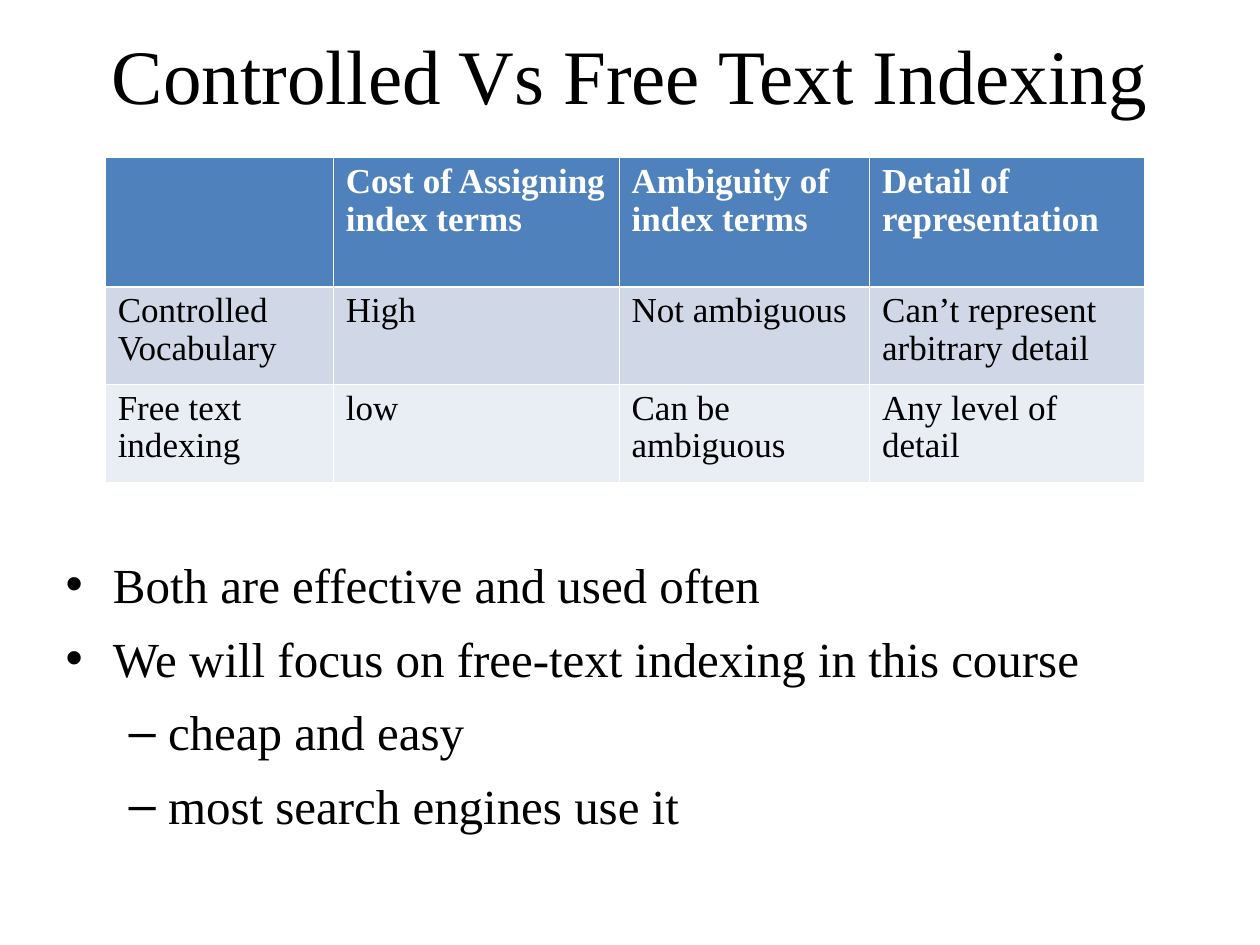
from pptx import Presentation
from pptx.util import Cm, Pt
from pptx.dml.color import RGBColor
from pptx.enum.text import MSO_ANCHOR, MSO_AUTO_SIZE, PP_ALIGN
from lxml.etree import SubElement
from pptx.oxml.ns import qn

FONT = "Times New Roman"
BLACK = RGBColor(0x00, 0x00, 0x00)
WHITE = RGBColor(0xFF, 0xFF, 0xFF)
HEADER_BLUE = RGBColor(0x4F, 0x81, 0xBD)
BAND_DARK = RGBColor(0xD0, 0xD8, 0xE8)
BAND_LIGHT = RGBColor(0xE9, 0xED, 0xF4)


def set_font(paragraph, size, color, bold=False):
    font = paragraph.font
    font.name, font.size, font.bold = FONT, Pt(size), bold
    font.color.rgb = color


def add_border(cell, side, width):
    line = SubElement(cell._tc.get_or_add_tcPr(), qn(f"a:{side}"), w=str(Pt(width)))
    fill = SubElement(line, qn("a:solidFill"))
    SubElement(fill, qn("a:srgbClr"), val=str(WHITE))


deck = Presentation()
deck.slide_width, deck.slide_height = Cm(25.4), Cm(19.05)
page = deck.slides.add_slide(deck.slide_layouts[1])

# Title
title = page.shapes.title
title.left, title.top, title.width, title.height = Cm(1.27), Cm(0), Cm(22.86), Cm(2.97)
title.text_frame.text = "Controlled Vs Free Text Indexing"
title.text_frame.auto_size = MSO_AUTO_SIZE.NONE
title.text_frame.vertical_anchor = MSO_ANCHOR.MIDDLE
heading = title.text_frame.paragraphs[0]
heading.alignment = PP_ALIGN.CENTER
set_font(heading, 44, BLACK)

# Bullet list below the table
body = page.placeholders[1]
body.left, body.top, body.width, body.height = Cm(1.07), Cm(11.05), Cm(22.86), Cm(7.37)
frame = body.text_frame
frame.auto_size = MSO_AUTO_SIZE.NONE
points = [
    ("Both are effective and used often", 0),
    ("We will focus on free-text indexing in this course", 0),
    ("cheap and easy", 1),
    ("most search engines use it", 1),
]
frame.text = "\n".join(text for text, level in points)
for paragraph, (text, level) in zip(frame.paragraphs, points):
    paragraph.level = level
    paragraph.space_before = Pt(0)
    paragraph.space_after = Pt(8.5)
    set_font(paragraph, 28, BLACK)

# Comparison table
rows = [
    ["", "Cost of Assigning index terms", "Ambiguity of index terms", "Detail of representation"],
    ["Controlled Vocabulary", "High", "Not ambiguous", "Can’t represent arbitrary detail"],
    ["Free text indexing", "low", "Can be ambiguous", "Any level of detail"],
]
column_widths = [4.6, 5.76, 5.05, 5.54]
row_heights = [2.6, 1.97, 1.97]
row_fills = [HEADER_BLUE, BAND_DARK, BAND_LIGHT]
table = page.shapes.add_table(
    len(rows), len(column_widths), Cm(2.12), Cm(3.18),
    Cm(sum(column_widths)), Cm(sum(row_heights))).table
for column, width in zip(table.columns, column_widths):
    column.width = Cm(width)
for row, height in zip(table.rows, row_heights):
    row.height = Cm(height)

for r, texts in enumerate(rows):
    is_header = r == 0
    # The line under the header is thicker than the others
    borders = {"lnL": 0.45, "lnR": 0.45,
               "lnT": 1.47 if r == 1 else 0.45,
               "lnB": 1.47 if is_header else 0.45}
    for c, text in enumerate(texts):
        cell = table.cell(r, c)
        cell.text = text
        paragraph = cell.text_frame.paragraphs[0]
        paragraph.line_spacing = 0.96
        set_font(paragraph, 20, WHITE if is_header else BLACK, is_header)
        for side, width in borders.items():
            add_border(cell, side, width)
        cell.fill.solid()
        cell.fill.fore_color.rgb = row_fills[r]

deck.save("out.pptx")
